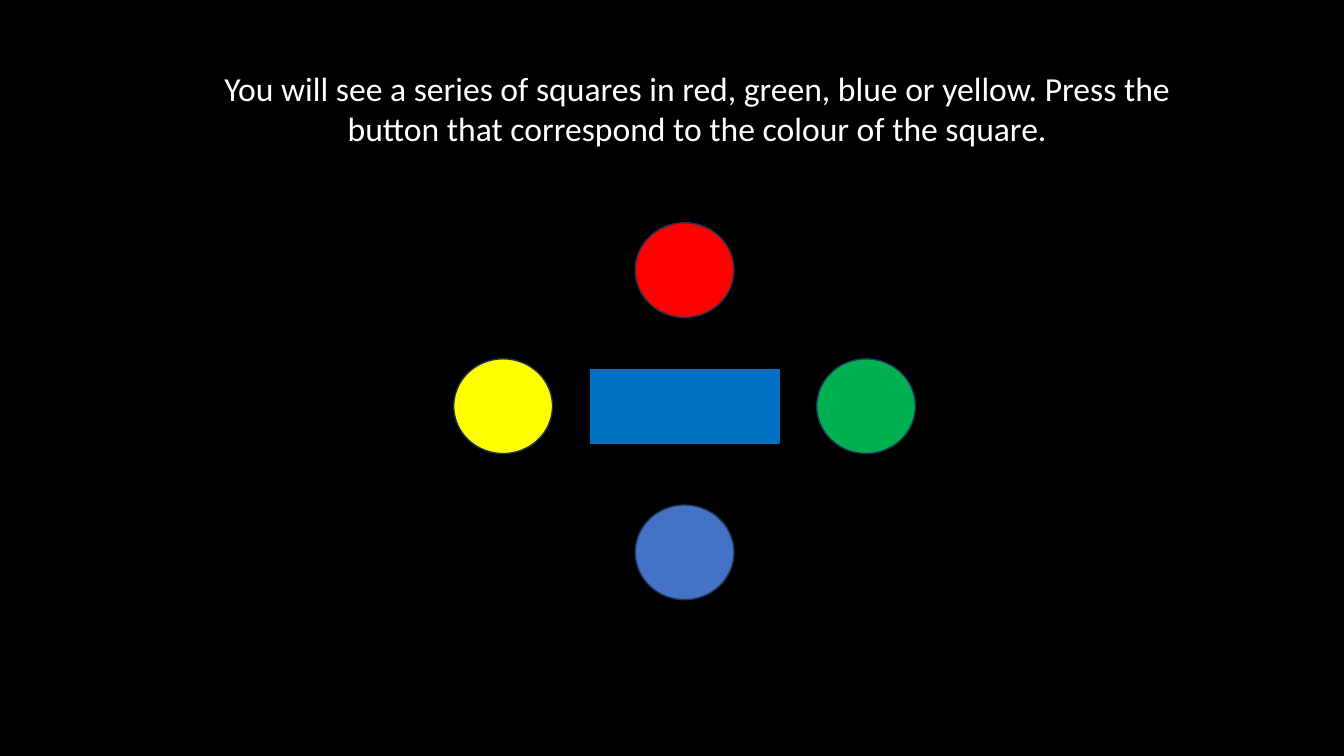
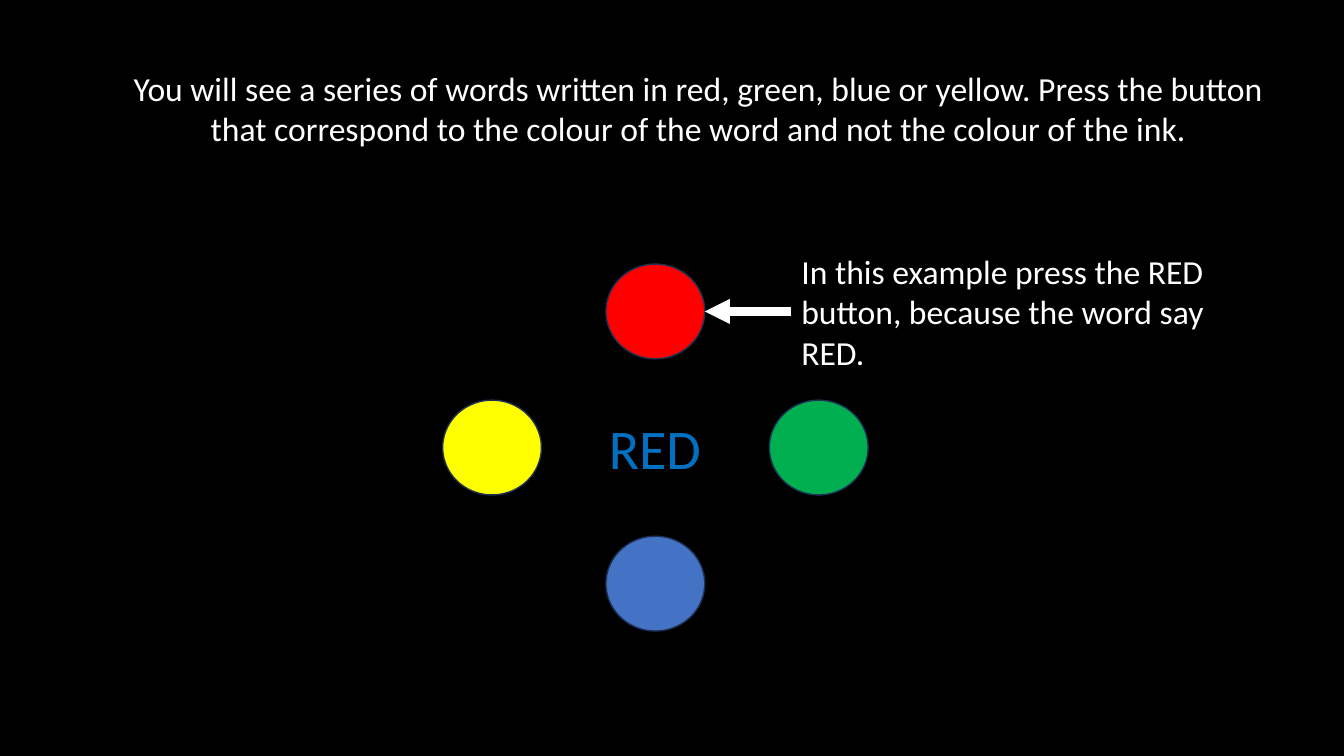
from lxml import etree
from pptx import Presentation
from pptx.dml.color import RGBColor
from pptx.enum.shapes import MSO_CONNECTOR, MSO_SHAPE
from pptx.enum.text import PP_ALIGN
from pptx.oxml.ns import qn
from pptx.util import Inches, Pt

OVAL, RECT = MSO_SHAPE.OVAL, MSO_SHAPE.RECTANGLE
LINE = MSO_CONNECTOR.STRAIGHT
LEFT, CENTER = PP_ALIGN.LEFT, PP_ALIGN.CENTER

BLACK = RGBColor(0x00, 0x00, 0x00)
WHITE = RGBColor(0xFF, 0xFF, 0xFF)
RED = RGBColor(0xFF, 0x00, 0x00)
GREEN = RGBColor(0x00, 0xB0, 0x50)
BLUE = RGBColor(0x44, 0x72, 0xC4)
YELLOW = RGBColor(0xFF, 0xFF, 0x00)
INK = RGBColor(0x00, 0x70, 0xC0)
EDGE = RGBColor(0x1E, 0x32, 0x56)

FONT = "Calibri"
WIDE, HIGH = 0.98, 0.94  # button size


def add_form(slide, kind, mid_x, mid_y, wide, high, fill, edge):
    """Place a filled shape by its centre."""
    form = slide.shapes.add_shape(
        kind, Inches(mid_x - wide / 2), Inches(mid_y - high / 2),
        Inches(wide), Inches(high))
    form.shadow.inherit = False
    form.fill.solid()
    form.fill.fore_color.rgb = fill
    form.line.color.rgb = edge
    form.line.width = Pt(1)


def add_text(slide, text, left, top, wide, high,
             size=24, color=WHITE, align=LEFT, wrap=True):
    box = slide.shapes.add_textbox(
        Inches(left), Inches(top), Inches(wide), Inches(high))
    frame = box.text_frame
    frame.word_wrap = wrap
    frame.text = text
    para = frame.paragraphs[0]
    para.alignment = align
    font = para.runs[0].font
    font.name, font.size, font.color.rgb = FONT, Pt(size), color


deck = Presentation()
deck.slide_width, deck.slide_height = Inches(13.33), Inches(7.5)
blank = deck.slide_layouts[6]

# Per slide: task, its left and width, button centre, steps across, up, down
TASKS = [
    ("You will see a series of squares in red, green, blue or yellow. "
     "Press the button that correspond to the colour of the square.",
     1.82, 10.19, 6.79, 4.03, 1.8, 1.35, 1.45),
    ("You will see a series of words written in red, green, blue or yellow. "
     "Press the button that correspond to the colour of the word "
     "and not the colour of the ink.",
     1.2, 11.45, 6.5, 4.44, 1.62, 1.35, 1.35),
]

# Shared background, buttons and task text
slides = []
for task, left, wide, mid_x, mid_y, side, up, down in TASKS:
    slide = deck.slides.add_slide(blank)
    slide.background.fill.solid()
    slide.background.fill.fore_color.rgb = BLACK
    for color, dx, dy in [(RED, 0, -up), (GREEN, side, 0),
                          (BLUE, 0, down), (YELLOW, -side, 0)]:
        add_form(slide, OVAL, mid_x + dx, mid_y + dy, WIDE, HIGH, color, EDGE)
    add_text(slide, task, left, 0.62, wide, 0.91, align=CENTER)
    slides.append(slide)
squares, words = slides

# Sample square
add_form(squares, RECT, 6.79, 4.03, 1.87, 0.73, INK, INK)

# Sample word and its hint
add_text(words, "RED", 5.94, 4.05, 1.13, 0.77, size=40, color=INK, wrap=False)
add_text(words, "In this example press the RED button, "
         "because the word say RED.", 7.85, 2.44, 4.8, 1.31)

# Arrow from the hint to the red button
arrow = words.shapes.add_connector(
    LINE, Inches(7.85), Inches(3.09), Inches(6.99), Inches(3.09))
arrow.line.color.rgb = WHITE
arrow.line.width = Pt(6)
etree.SubElement(arrow.line._get_or_add_ln(), qn("a:tailEnd"), type="triangle")
etree.SubElement(arrow._element.spPr, qn("a:effectLst"))

deck.save("out.pptx")
